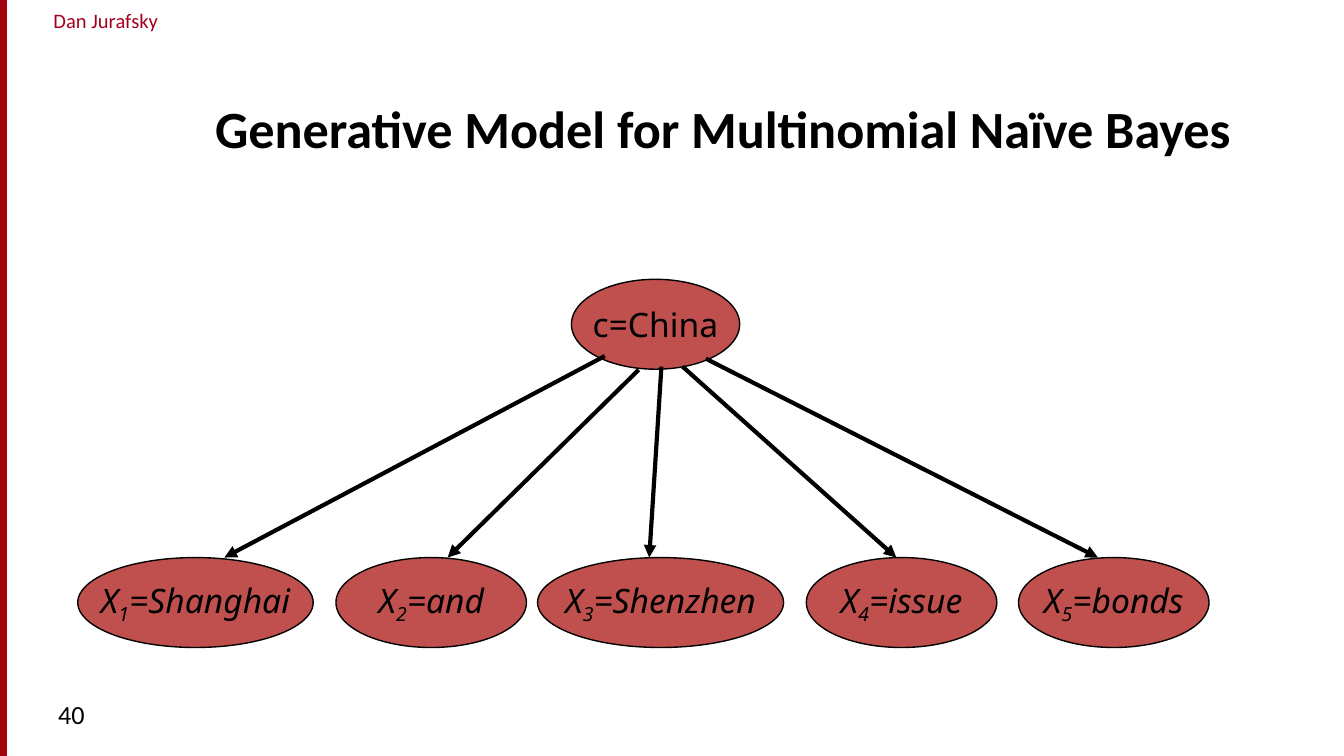
from lxml import etree
from pptx import Presentation
from pptx.dml.color import RGBColor
from pptx.enum.shapes import MSO_CONNECTOR, MSO_SHAPE
from pptx.enum.text import MSO_ANCHOR, MSO_AUTO_SIZE, PP_ALIGN
from pptx.oxml.ns import qn
from pptx.util import Cm, Pt

WIDTH, HEIGHT = 25.4, 14.29


def color(hex_value):
    return RGBColor.from_string(hex_value)


def write(frame, text, size=18, font="Calibri", ink="000000", bold=False,
          italic=False, align=PP_ALIGN.LEFT, anchor=MSO_ANCHOR.TOP, wrap=True):
    """Fill a frame; text is a string or a list of (text, baseline) parts."""
    frame.auto_size = MSO_AUTO_SIZE.NONE
    frame.word_wrap = wrap
    frame.vertical_anchor = anchor
    paragraph = frame.paragraphs[0]
    paragraph.alignment = align
    parts = [(text, 0)] if isinstance(text, str) else text
    for words, baseline in parts:
        run = paragraph.add_run()
        run.text = words
        run.font.size = Pt(size)
        run.font.name = font
        run.font.bold = bold
        run.font.italic = italic
        run.font.color.rgb = color(ink)
        if baseline:
            run.font._element.set("baseline", str(baseline * 1000))


class ModelSlide:
    node_fill = "C0504D"
    node_line = "000000"
    node_font = "Noto Sans"
    accent = "A4001D"
    stripe_fill = "A40508"

    def __init__(self, presentation):
        self.slide = presentation.slides.add_slide(presentation.slide_layouts[5])
        self.shapes = self.slide.shapes

    def title(self, text, left, top, width, height):
        heading = self.shapes.title
        heading.left, heading.top = Cm(left), Cm(top)
        heading.width, heading.height = Cm(width), Cm(height)
        write(heading.text_frame, text, size=28, bold=True,
              anchor=MSO_ANCHOR.BOTTOM)

    def label(self, text, left, top, width, height, side_inset=0.25, **style):
        box = self.shapes.add_textbox(Cm(left), Cm(top), Cm(width), Cm(height))
        frame = box.text_frame
        frame.margin_left = frame.margin_right = Cm(side_inset)
        write(frame, text, **style)

    def shape(self, preset, left, top, width, height, fill, line):
        item = self.shapes.add_shape(preset, Cm(left), Cm(top),
                                     Cm(width), Cm(height))
        item.shadow.inherit = False
        item.fill.solid()
        item.fill.fore_color.rgb = color(fill)
        item.line.color.rgb = color(line)
        item.line.width = Pt(0.75)
        return item

    def stripe(self, width):
        self.shape(MSO_SHAPE.RECTANGLE, 0, 0, width, HEIGHT,
                   self.stripe_fill, self.accent)

    def node(self, text, left, top, width, height=1.7, italic=False):
        oval = self.shape(MSO_SHAPE.OVAL, left, top, width, height,
                          self.node_fill, self.node_line)
        write(oval.text_frame, text, font=self.node_font, italic=italic,
              align=PP_ALIGN.CENTER, anchor=MSO_ANCHOR.MIDDLE, wrap=False)

    def arrow(self, start, end):
        link = self.shapes.add_connector(MSO_CONNECTOR.STRAIGHT,
                                         *map(Cm, start + end))
        link.line.color.rgb = color(self.node_line)
        link.line.width = Pt(2.25)
        etree.SubElement(link.line._get_or_add_ln(), qn("a:tailEnd"),
                         type="triangle")
        etree.SubElement(link._element.spPr, qn("a:effectLst"))


def main():
    presentation = Presentation()
    presentation.slide_width, presentation.slide_height = Cm(WIDTH), Cm(HEIGHT)
    page = ModelSlide(presentation)

    # Page frame: author, stripe, title and number
    page.label("Dan Jurafsky", 0.2, 0.03, 3.6, 0.74, side_inset=0, size=11,
               ink=page.accent, align=PP_ALIGN.CENTER)
    page.stripe(0.13)
    page.title("Generative Model for Multinomial Naïve Bayes",
               3.81, 1.07, 20.75, 2.06)
    page.label("40", 0.85, 13.08, 5.5, 0.97, size=14)

    # Class node
    page.node("c=China", 10.8, 5.28, 3.18)

    # Word nodes, each with its arrow: word, left, width, arrow start, arrow tip x
    word_top = 10.54
    words = [
        ("Shanghai", 1.47, 4.45, (11.43, 6.73), 4.24),
        ("and", 6.35, 3.6, (12.07, 6.99), 8.46),
        ("Shenzhen", 10.16, 4.65, (12.5, 6.93), 12.27),
        ("issue", 15.24, 3.6, (12.9, 6.93), 16.94),
        ("bonds", 19.25, 3.6, (13.34, 6.78), 20.75),
    ]
    for number, (word, left, width, start, tip_x) in enumerate(words, 1):
        page.node([("X", 0), (str(number), -25), (f"={word}", 0)],
                  left, word_top, width, italic=True)
        page.arrow(start, (tip_x, word_top))

    presentation.save("out.pptx")


if __name__ == "__main__":
    main()
